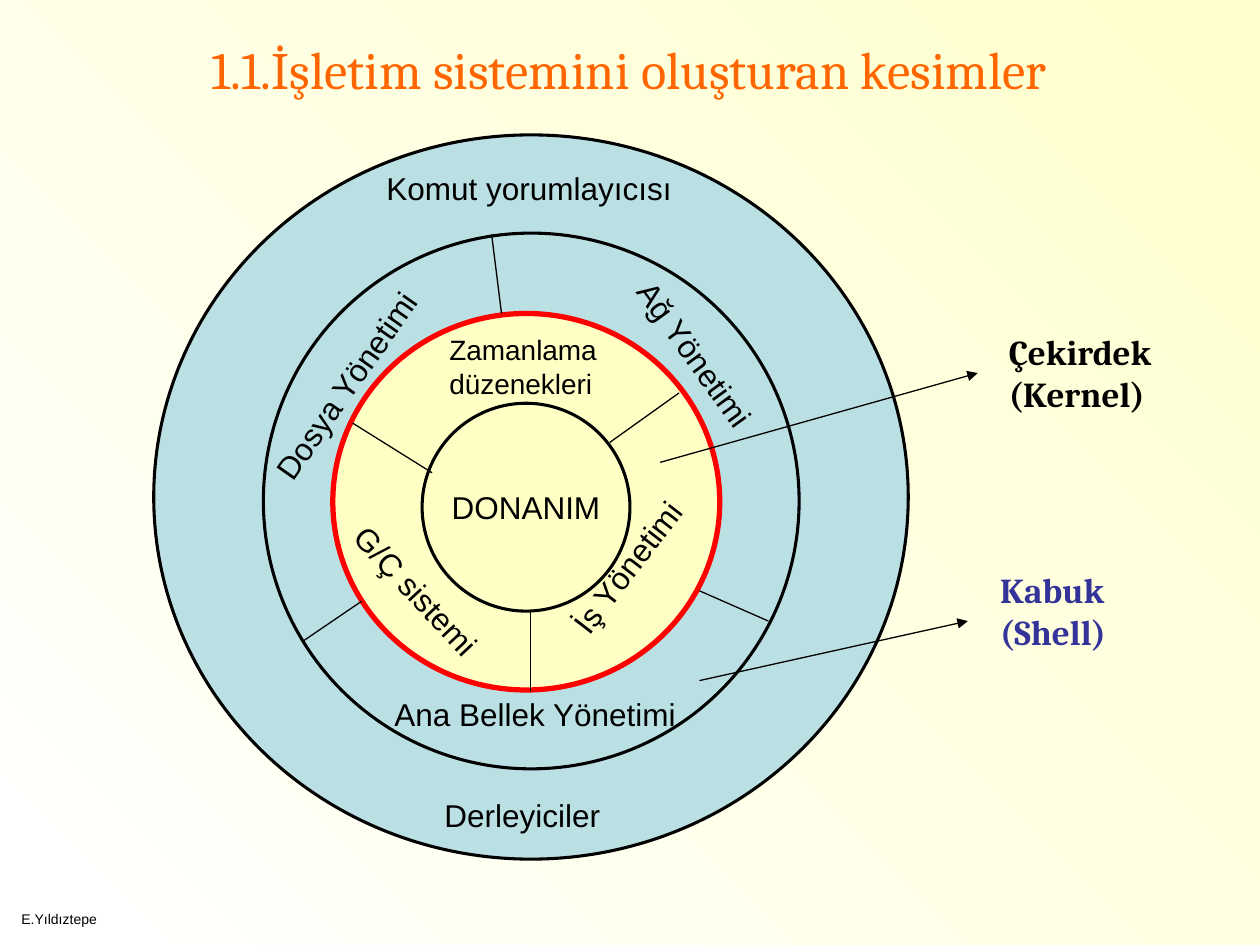
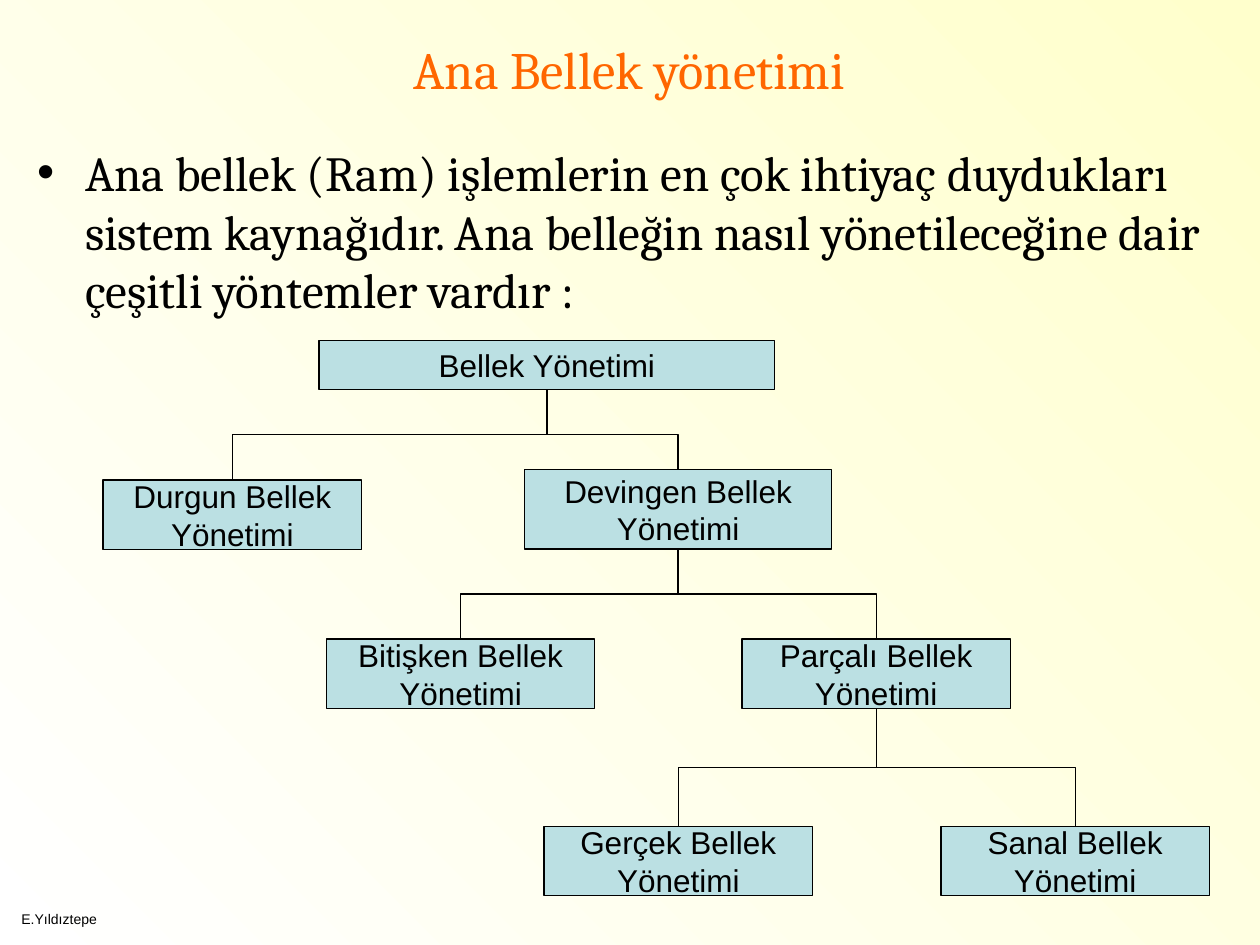
from dataclasses import dataclass
from typing import Optional

from lxml.etree import SubElement
from pptx import Presentation
from pptx.dml.color import RGBColor
from pptx.enum.shapes import MSO_CONNECTOR, MSO_SHAPE
from pptx.enum.text import MSO_ANCHOR, MSO_AUTO_SIZE, PP_ALIGN
from pptx.oxml.ns import qn
from pptx.presentation import Presentation as PresentationType
from pptx.shapes.autoshape import Shape
from pptx.shapes.connector import Connector
from pptx.slide import Slide
from pptx.text.text import TextFrame
from pptx.util import Cm, Pt

COLOURS: dict[str, str] = {
    "black": "000000",
    "title": "FF6600",
    "shell": "BBE0E3",
    "kernel": "FFFFC5",
    "kernel edge": "FF0000",
    "shell label": "333399",
    "background start": "FFFFFF",
    "background end": "FFFFCC",
}
BODY_FONT = "Cambria"
DIAGRAM_FONT = "Arial"
TITLE_ONLY, TITLE_AND_CONTENT = 5, 1


# Descriptions of repeated elements; all lengths are in centimetres
@dataclass(frozen=True)
class Box:
    left: float
    top: float
    width: float
    height: float

    @property
    def centre(self) -> float:
        return self.left + self.width / 2

    @property
    def bottom(self) -> float:
        return self.top + self.height


@dataclass(frozen=True)
class TextStyle:
    size: float = 18
    font: str = DIAGRAM_FONT
    colour: str = "black"
    bold: bool = False
    align: PP_ALIGN = PP_ALIGN.LEFT


@dataclass(frozen=True)
class Label:
    text: str
    box: Box
    rotation: float = 0
    style: TextStyle = TextStyle()


@dataclass(frozen=True)
class Ring:
    box: Box
    fill: str
    edge: str = "black"
    edge_width: float = 1.75
    text: str = ""


@dataclass(frozen=True)
class Line:
    start: tuple[float, float]
    end: tuple[float, float]
    arrow: bool = False


@dataclass(frozen=True)
class Node:
    lines: tuple[str, ...]
    box: Box
    parent: Optional[str] = None


TITLE_STYLE = TextStyle(30, BODY_FONT, "title", align=PP_ALIGN.CENTER)
BODY_STYLE = TextStyle(28, BODY_FONT)
CENTRED = TextStyle(align=PP_ALIGN.CENTER)
TITLE_BOX = Box(0.69, 0.23, 24, 2.31)
BODY_BOX = Box(0.51, 2.74, 24.41, 14.96)
FOOTER = Label("E.Yıldıztepe", Box(0.18, 18.24, 5.92, 0.41), style=TextStyle(8))

# Slide 1: layers of the operating system, from the outside in
RINGS = [
    Ring(Box(3.1, 2.72, 15.21, 14.6), "shell"),
    Ring(Box(5.31, 4.7, 10.8, 10.8), "shell"),
    Ring(Box(6.71, 6.32, 7.8, 7.59), "kernel", "kernel edge", 3),
    Ring(Box(8.51, 8.13, 4.19, 4.19), "kernel", text="DONANIM"),
]
LAYER_LINES = [
    Line((12.29, 8.92), (13.69, 7.92)),
    Line((7.11, 8.53), (8.71, 9.53)),
    Line((10.69, 12.32), (10.69, 13.92)),
    Line((14.1, 11.91), (15.49, 12.52)),
    Line((6.1, 12.93), (7.29, 12.12)),
    Line((10.11, 6.32), (9.91, 4.72)),
    Line((13.31, 9.32), (19.71, 7.52), arrow=True),
    Line((14.1, 13.72), (19.51, 12.52), arrow=True),
]
LAYER_LABELS = [
    Label("Zamanlama düzenekleri", Box(8.81, 6.58, 4.29, 1.63), style=TextStyle(16)),
    Label("İş Yönetimi", Box(10.85, 10.72, 4.01, 1.27), 307.6),
    Label("G/Ç sistemi", Box(5.99, 11.4, 4.8, 1.02), 47, CENTRED),
    Label("Ağ Yönetimi", Box(11.91, 6.91, 4.6, 1.02), 54.1),
    Label("Dosya Yönetimi", Box(4.32, 6.91, 5.79, 1.02), 305),
    Label("Ana Bellek Yönetimi", Box(7.7, 13.89, 7.01, 1.02)),
    Label("Komut yorumlayıcısı", Box(7.54, 3.28, 7.21, 1.02)),
    Label("Derleyiciler", Box(8.71, 15.93, 4.39, 1.02)),
    Label("Çekirdek (Kernel)", Box(20.09, 6.53, 4.39, 1.96),
          style=TextStyle(20, BODY_FONT, bold=True)),
    Label("Kabuk (Shell)", Box(19.91, 11.33, 4.39, 1.96),
          style=TextStyle(20, BODY_FONT, "shell label", True)),
]

# Slide 2: memory management tree
MEMORY_TEXT = ("Ana bellek (Ram) işlemlerin en çok ihtiyaç duydukları sistem kaynağıdır. "
               "Ana belleğin nasıl yönetileceğine dair çeşitli yöntemler vardır :")
MEMORY_TREE: dict[str, Node] = {
    "root": Node(("Bellek Yönetimi",), Box(6.43, 6.86, 9.19, 0.99)),
    "static": Node(("Durgun Bellek", "Yönetimi"), Box(2.08, 9.68, 5.21, 1.4), "root"),
    "dynamic": Node(("Devingen Bellek", "Yönetimi"), Box(10.57, 9.47, 6.2, 1.6), "root"),
    "contiguous": Node(("Bitişken Bellek", "Yönetimi"), Box(6.58, 12.88, 5.41, 1.4), "dynamic"),
    "split": Node(("Parçalı Bellek", "Yönetimi"), Box(14.96, 12.88, 5.41, 1.4), "dynamic"),
    "real": Node(("Gerçek Bellek", "Yönetimi"), Box(10.97, 16.66, 5.41, 1.4), "split"),
    "virtual": Node(("Sanal Bellek", "Yönetimi"), Box(18.97, 16.66, 5.41, 1.4), "split"),
}


# Drawing helpers
def colour(name: str) -> RGBColor:
    return RGBColor.from_string(COLOURS[name])


def lengths(box: Box) -> tuple[Cm, Cm, Cm, Cm]:
    return Cm(box.left), Cm(box.top), Cm(box.width), Cm(box.height)


def write(text_frame: TextFrame, lines: tuple[str, ...], style: TextStyle) -> None:
    for index, line in enumerate(lines):
        paragraph = text_frame.paragraphs[0] if index == 0 else text_frame.add_paragraph()
        paragraph.alignment = style.align
        paragraph.space_before = Pt(0)
        run = paragraph.add_run()
        run.text = line
        run.font.name = style.font
        run.font.size = Pt(style.size)
        run.font.bold = style.bold
        run.font.color.rgb = colour(style.colour)


def add_label(slide: Slide, label: Label) -> None:
    shape = slide.shapes.add_textbox(*lengths(label.box))
    shape.rotation = label.rotation
    shape.text_frame.word_wrap = True
    write(shape.text_frame, (label.text,), label.style)


def add_filled_shape(slide: Slide, kind: MSO_SHAPE, box: Box, fill: str, edge: str,
                     edge_width: float, lines: tuple[str, ...]) -> None:
    shape = slide.shapes.add_shape(kind, *lengths(box))
    shape.shadow.inherit = False
    shape.fill.solid()
    shape.fill.fore_color.rgb = colour(fill)
    shape.line.color.rgb = colour(edge)
    shape.line.width = Pt(edge_width)
    if lines:
        shape.text_frame.word_wrap = False
        shape.text_frame.vertical_anchor = MSO_ANCHOR.MIDDLE
        write(shape.text_frame, lines, CENTRED)


def add_line(slide: Slide, line: Line, kind: MSO_CONNECTOR = MSO_CONNECTOR.STRAIGHT) -> Connector:
    points = [Cm(value) for value in (*line.start, *line.end)]
    connector = slide.shapes.add_connector(kind, *points)
    connector.line.color.rgb = colour("black")
    connector.line.width = Pt(0.75)
    properties = connector._element.spPr
    if line.arrow:
        SubElement(properties.find(qn("a:ln")), qn("a:tailEnd"), type="triangle")
    SubElement(properties, qn("a:effectLst"))
    return connector


def add_branch(slide: Slide, parent: Box, child: Box, bend: float) -> None:
    """Elbow that leaves the parent downwards: laid out sideways, then turned by 90°."""
    drop = child.top - parent.bottom
    shift = parent.centre - child.centre
    middle_x = (parent.centre + child.centre) / 2
    middle_y = (parent.bottom + child.top) / 2
    sideways = Line((middle_x - drop / 2, middle_y - shift / 2),
                    (middle_x + drop / 2, middle_y + shift / 2))
    connector = add_line(slide, sideways, MSO_CONNECTOR.ELBOW)
    connector.rotation = 90
    geometry = connector._element.spPr.find(qn("a:prstGeom"))
    adjustments = geometry.find(qn("a:avLst"))
    if adjustments is None:
        adjustments = SubElement(geometry, qn("a:avLst"))
    share = round((bend - parent.bottom) / drop * 100000)
    SubElement(adjustments, qn("a:gd"), name="adj1", fmla=f"val {share}")


def fill_placeholder(shape: Shape, box: Box, text: str, style: TextStyle,
                     anchor: MSO_ANCHOR) -> None:
    shape.left, shape.top, shape.width, shape.height = lengths(box)
    text_frame = shape.text_frame
    text_frame.auto_size = MSO_AUTO_SIZE.NONE
    text_frame.word_wrap = True
    text_frame.vertical_anchor = anchor
    write(text_frame, (text,), style)


def set_background(presentation: PresentationType) -> None:
    fill = presentation.slide_master.background.fill
    fill.gradient()
    fill.gradient_angle = 45
    for stop, position, name in zip(fill.gradient_stops, (0, 1),
                                    ("background start", "background end")):
        stop.position = position
        stop.color.rgb = colour(name)


def add_slide(presentation: PresentationType, layout: int, title: str) -> Slide:
    slide = presentation.slides.add_slide(presentation.slide_layouts[layout])
    fill_placeholder(slide.shapes.title, TITLE_BOX, title, TITLE_STYLE, MSO_ANCHOR.MIDDLE)
    add_label(slide, FOOTER)
    return slide


# Slides
def build_layers_slide(presentation: PresentationType) -> None:
    slide = add_slide(presentation, TITLE_ONLY, "1.1.İşletim sistemini oluşturan kesimler")
    for ring in RINGS:
        add_filled_shape(slide, MSO_SHAPE.OVAL, ring.box, ring.fill, ring.edge,
                         ring.edge_width, (ring.text,) if ring.text else ())
    for line in LAYER_LINES:
        add_line(slide, line)
    for label in LAYER_LABELS:
        add_label(slide, label)


def build_memory_slide(presentation: PresentationType) -> None:
    slide = add_slide(presentation, TITLE_AND_CONTENT, "Ana Bellek yönetimi")
    body = slide.placeholders[1]
    properties = body.text_frame.paragraphs[0]._p.get_or_add_pPr()
    properties.set("marL", str(Cm(0.95)))
    properties.set("indent", str(-Cm(0.95)))
    bullet_colour = SubElement(properties, qn("a:buClr"))
    SubElement(bullet_colour, qn("a:srgbClr"), val=COLOURS["black"])
    SubElement(properties, qn("a:buFont"), typeface=DIAGRAM_FONT)
    SubElement(properties, qn("a:buChar"), char="•")
    fill_placeholder(body, BODY_BOX, MEMORY_TEXT, BODY_STYLE, MSO_ANCHOR.TOP)

    for node in MEMORY_TREE.values():
        add_filled_shape(slide, MSO_SHAPE.RECTANGLE, node.box, "shell", "black", 0.75, node.lines)
    # Siblings share a bend halfway down to the lowest of them
    for name, parent in MEMORY_TREE.items():
        children = [node.box for node in MEMORY_TREE.values() if node.parent == name]
        for child in children:
            bend = (parent.box.bottom + max(box.top for box in children)) / 2
            add_branch(slide, parent.box, child, bend)


def main() -> None:
    presentation = Presentation()
    presentation.slide_width, presentation.slide_height = Cm(25.4), Cm(19.05)
    set_background(presentation)
    build_layers_slide(presentation)
    build_memory_slide(presentation)
    presentation.save("out.pptx")


if __name__ == "__main__":
    main()
